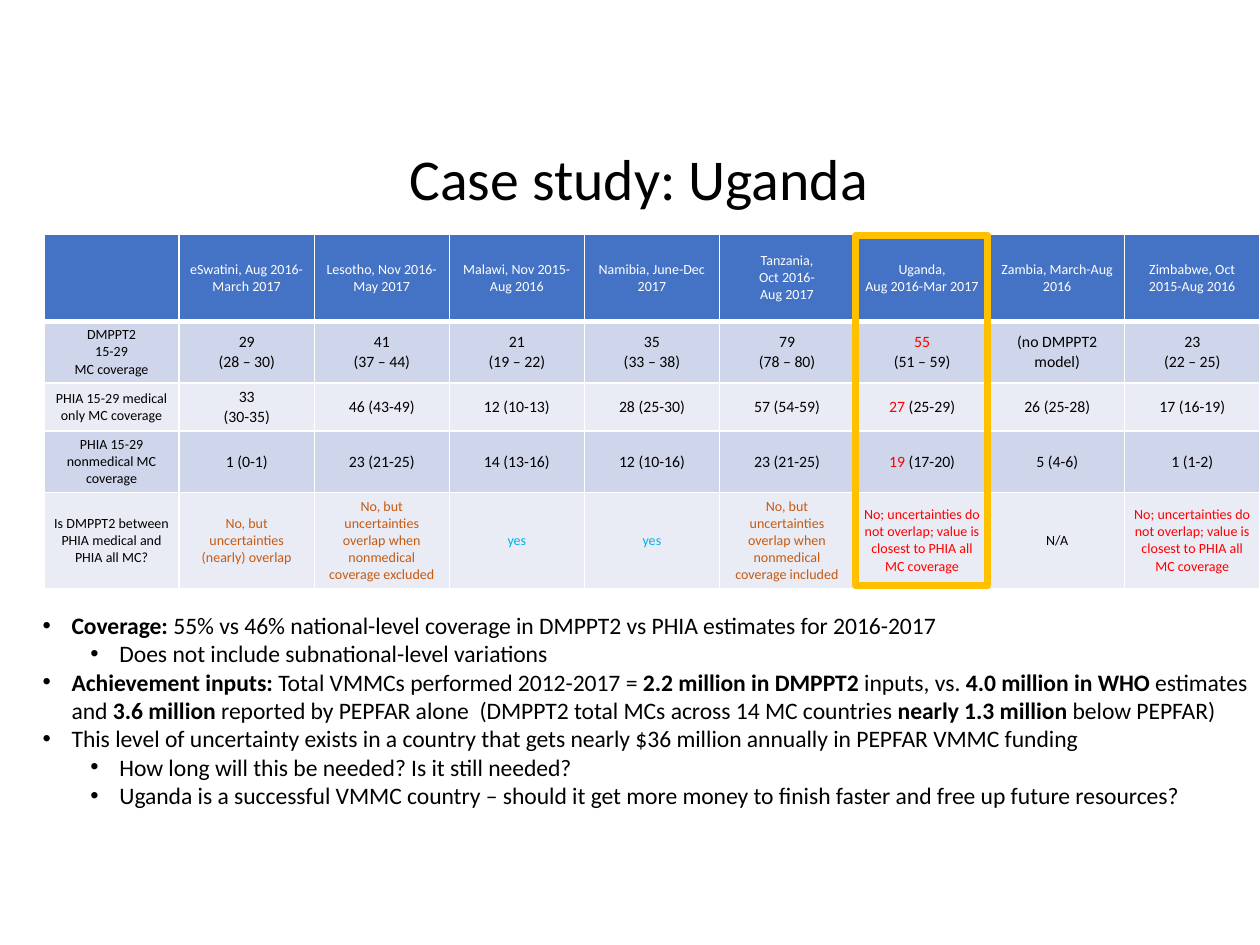
import pptx
import pptx.util
import pptx.dml.color
import pptx.enum.shapes
import pptx.enum.text
import pptx.oxml
import pptx.oxml.ns
import lxml.etree

Inches = pptx.util.Inches
Pt = pptx.util.Pt
qn = pptx.oxml.ns.qn
PP_ALIGN = pptx.enum.text.PP_ALIGN
MSO_ANCHOR = pptx.enum.text.MSO_ANCHOR

BLACK, WHITE, RED, ORANGE, BLUE = "000000", "FFFFFF", "FF0000", "C55A11", "00B0F0"
HEADER_FILL = "4472C4"
BAND_FILLS = ["CFD5EA", "E9EBF5"]
ROW_HEIGHTS = [0.69, 0.49, 0.38, 0.49, 0.76]
NO_OVERLAP = "No; uncertainties do not overlap; value is closest to PHIA all MC coverage"

HEADERS = [
    "", "eSwatini, Aug 2016-March 2017", "Lesotho, Nov 2016-May 2017",
    "Malawi, Nov 2015-\nAug 2016", "Namibia, June-Dec 2017",
    "Tanzania,\nOct 2016-\nAug 2017", "Uganda,\nAug 2016-Mar 2017",
    "Zambia, March-Aug 2016", "Zimbabwe, Oct 2015-Aug 2016",
]
FIGURES = [
    ["DMPPT2\n15-29\nMC coverage", "29\n(28 – 30)", "41\n(37 – 44)", "21\n(19 – 22)",
     "35\n(33 – 38)", "79\n(78 – 80)", [("55", RED), ("\n(51 – 59)", BLACK)],
     "(no DMPPT2 model)", "23\n(22 – 25)"],
    ["PHIA 15-29 medical only MC coverage", "33\n(30-35)", "46 (43-49)", "12 (10-13)",
     "28 (25-30)", "57 (54-59)", [("27 ", RED), ("(25-29)", BLACK)],
     "26 (25-28)", "17 (16-19)"],
    ["PHIA 15-29 nonmedical MC coverage", "1 (0-1)", "23 (21-25)", "14 (13-16)",
     "12 (10-16)", "23 (21-25)", [("19", RED), (" (17-20)", BLACK)],
     "5 (4-6)", "1 (1-2)"],
]
VERDICTS = [
    "Is DMPPT2 between PHIA medical and PHIA all MC?",
    [("No, but uncertainties (nearly) overlap", ORANGE)],
    [("No, but uncertainties overlap when nonmedical coverage excluded", ORANGE)],
    [("yes", BLUE)],
    [("yes", BLUE)],
    [("No, but uncertainties overlap when nonmedical coverage included", ORANGE)],
    [(NO_OVERLAP, RED)],
    "N/A",
    [(NO_OVERLAP, RED)],
]
BULLETS = [
    (0, [("Coverage: ", True),
         ("55% vs 46% national-level coverage in DMPPT2 vs PHIA estimates for 2016-2017", False)]),
    (1, [("Does not include subnational-level variations", False)]),
    (0, [("Achievement inputs: ", True), ("Total VMMCs performed 2012-2017 = ", False),
         ("2.2 million in DMPPT2 ", True), ("inputs, vs. ", False),
         ("4.0 million in WHO ", True), ("estimates and ", False), ("3.6 million", True),
         (" reported by PEPFAR alone  (DMPPT2 total MCs across 14 MC countries ", False),
         ("nearly 1.3 million ", True), ("below PEPFAR)", False)]),
    (0, [("This level of uncertainty exists in a country that gets nearly $36 million "
          "annually in PEPFAR VMMC funding", False)]),
    (1, [("How long will this be needed? Is it still needed?", False)]),
    (1, [("Uganda is a successful VMMC country – should it get more money to finish "
          "faster and free up future resources?", False)]),
]


def color(value):
    return pptx.dml.color.RGBColor.from_string(value)


def add_run(paragraph, text, size, value=BLACK, bold=False):
    run = paragraph.add_run()
    run.text = text
    run.font.name = "Calibri"
    run.font.size = Pt(size)
    run.font.bold = bold
    run.font.color.rgb = color(value)


def add_text_box(slide, box):
    text_frame = slide.shapes.add_textbox(*map(Inches, box)).text_frame
    text_frame.word_wrap = True
    return text_frame


def add_title(slide, box):
    text_frame = add_text_box(slide, box)
    text_frame.vertical_anchor = MSO_ANCHOR.MIDDLE
    paragraph = text_frame.paragraphs[0]
    paragraph.alignment = PP_ALIGN.CENTER
    paragraph.line_spacing = 0.9
    add_run(paragraph, "Case study: Uganda", 33)


def set_borders(cell, widths):
    properties = cell._tc.get_or_add_tcPr()
    for index, (side, width) in enumerate(widths.items()):
        line = lxml.etree.Element(qn(f"a:{side}"), w=str(Pt(width)))
        fill = lxml.etree.SubElement(line, qn("a:solidFill"))
        lxml.etree.SubElement(fill, qn("a:srgbClr"), val=WHITE)
        properties.insert(index, line)


def fill_cell(cell, content, size, value, fill):
    cell.fill.solid()
    cell.fill.fore_color.rgb = color(fill)
    cell.vertical_anchor = MSO_ANCHOR.MIDDLE
    cell.margin_left = cell.margin_right = Inches(0.07)
    cell.margin_top = cell.margin_bottom = Inches(0.04)
    paragraph = cell.text_frame.paragraphs[0]
    paragraph.alignment = PP_ALIGN.CENTER
    runs = [(content, value)] if isinstance(content, str) else content
    for text, run_color in runs:
        for index, line in enumerate(text.split("\n")):
            if index:
                paragraph = cell.text_frame.add_paragraph()
                paragraph.alignment = PP_ALIGN.CENTER
            if line:
                add_run(paragraph, line, size, run_color)


def add_coverage_table(slide, box):
    rows = [HEADERS, *FIGURES, VERDICTS]
    table = slide.shapes.add_table(len(rows), len(HEADERS), *map(Inches, box)).table
    table.first_row = table.horz_banding = False
    for column in table.columns:
        column.width = Inches(box[2] / len(HEADERS))
    for row_index, contents in enumerate(rows):
        table.rows[row_index].height = Inches(ROW_HEIGHTS[row_index])
        is_header = row_index == 0
        fill = HEADER_FILL if is_header else BAND_FILLS[(row_index - 1) % 2]
        for column_index, content in enumerate(contents):
            cell = table.cell(row_index, column_index)
            size = 9 if contents in FIGURES and column_index else 8
            fill_cell(cell, content, size, WHITE if is_header else BLACK, fill)
            set_borders(cell, {"lnL": 1, "lnR": 1, "lnT": 3 if row_index == 1 else 1,
                               "lnB": 3 if is_header else 1})


def add_highlight(slide, box):
    frame = slide.shapes.add_shape(pptx.enum.shapes.MSO_SHAPE.RECTANGLE, *map(Inches, box))
    frame.shadow.inherit = False
    frame.fill.background()
    frame.line.color.rgb = color("FFC000")
    frame.line.width = Pt(4)


def add_bullets(slide, box):
    text_frame = add_text_box(slide, box)
    for index, (level, runs) in enumerate(BULLETS):
        paragraph = text_frame.add_paragraph() if index else text_frame.paragraphs[0]
        paragraph.level = level
        properties = paragraph._p.get_or_add_pPr()
        properties.set("marL", str(Inches([0.23, 0.61][level])))
        properties.set("indent", str(Inches(-0.23)))
        lxml.etree.SubElement(properties, qn("a:buFont"), typeface="Arial")
        lxml.etree.SubElement(properties, qn("a:buChar"), char="•")
        for text, bold in runs:
            add_run(paragraph, text, 13.5, bold=bold)


def main():
    presentation = pptx.Presentation()
    presentation.slide_width = Inches(10)
    presentation.slide_height = Inches(7.5)
    slide = presentation.slides.add_slide(presentation.slide_layouts[6])
    add_title(slide, (0.76, 1.02, 8.62, 0.84))
    add_coverage_table(slide, (0.35, 1.86, 9.65, sum(ROW_HEIGHTS)))
    add_highlight(slide, (6.79, 1.87, 1.05, 2.78))
    add_bullets(slide, (0.24, 4.8, 9.76, 1.92))
    presentation.save("out.pptx")


if __name__ == "__main__":
    main()
